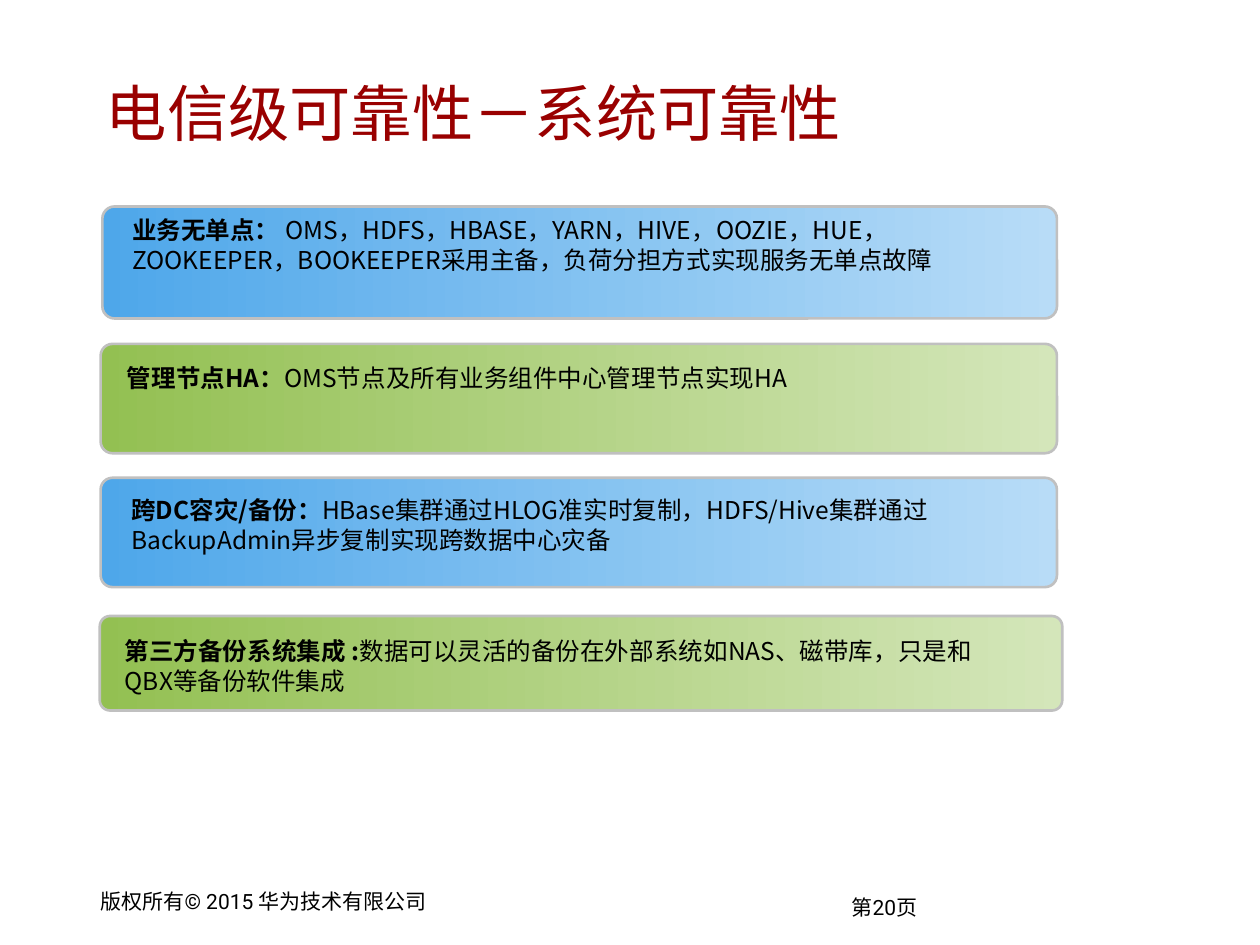
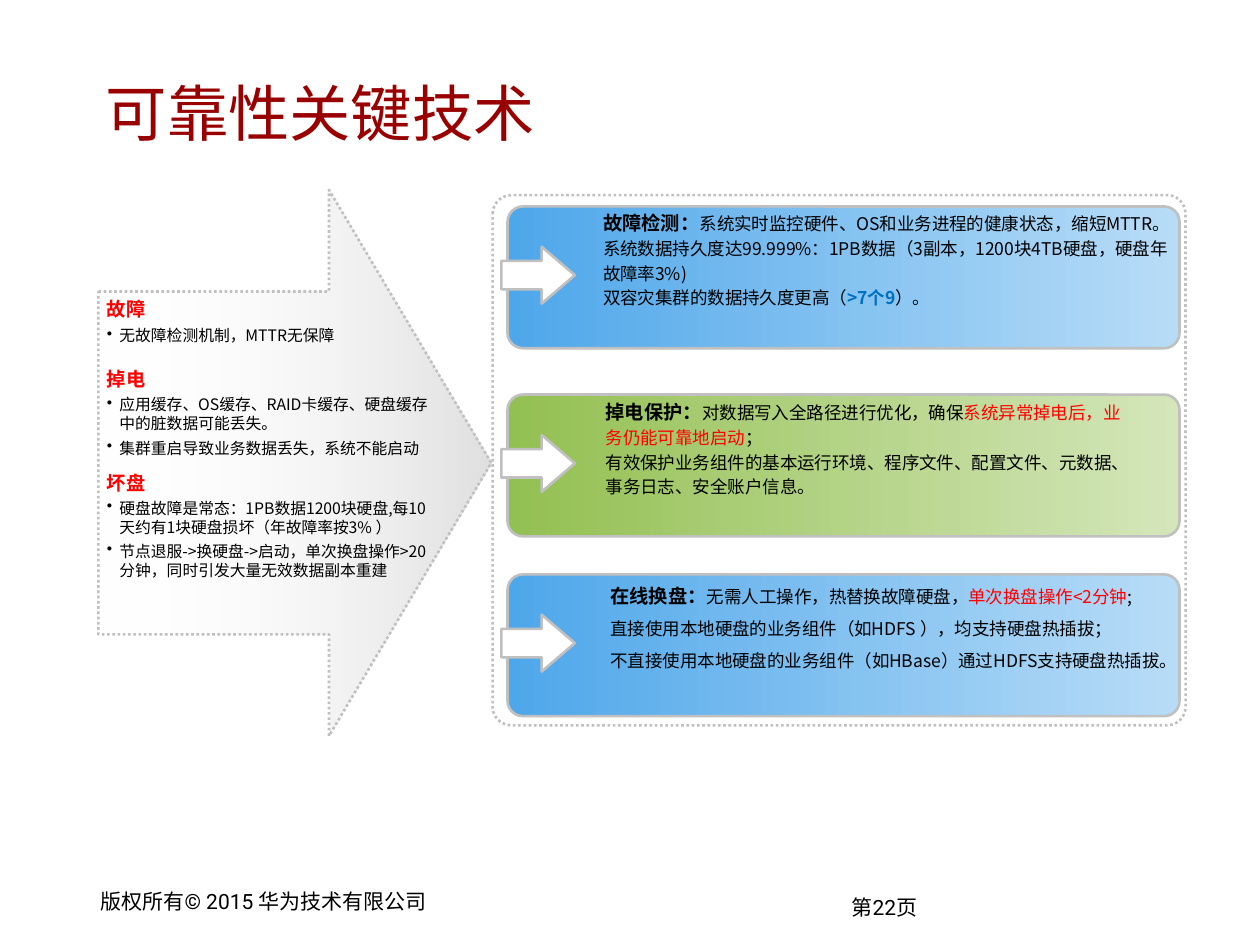
from lxml import etree
from pptx import Presentation
from pptx.dml import color as dml
from pptx.enum import dml as lines, shapes, text
from pptx.oxml import ns
from pptx.util import Pt

COLORS = {
    "title": "990000", "ink": "000000", "alert": "FF0000", "accent": "0070C0",
    "border": "C0C0C0", "white": "FFFFFF",
}
GRADIENTS = {
    "blue": ("4EA7EA", "B8DCF7"),
    "green": ("93C052", "D4E6BA"),
    "fade": (COLORS["white"], COLORS["border"]),
}
BODY_FONT, TITLE_FONT = "Noto Sans CJK SC", "Roboto"
INSETS = (7.2, 3.6)
MASTER_INSETS = (6.5, 3)

# Run and paragraph formats
TITLE = {"name": TITLE_FONT, "size": 35, "color": "title"}
FOOTER = {"name": TITLE_FONT, "size": 12}
CARD_LEAD, CARD_TEXT = {"size": 14, "bold": True}, {"size": 14}
LEAD, BODY = {"size": 11, "bold": True}, {"size": 10}
ALERT = {"size": 10, "color": "alert"}
ACCENT = {"size": 10, "color": "accent", "bold": True}
HEADING = {"size": 11, "bold": True, "color": "alert"}
ITEM = {"size": 9}
FIXED_LINES = {"line_spacing": Pt(14)}
WIDE_LINES = {"line_spacing": 1.5}
HEADING_GAP = {"space_before": Pt(12.5)}
ITEM_GAP = {"space_before": Pt(3)}


def rgb(hex_string):
    return dml.RGBColor.from_string(hex_string)


# Text
def add_run(paragraph, words, style):
    run = paragraph.add_run()
    run.text = words
    style = {"name": BODY_FONT, "bold": False, "color": "ink", **style}
    run.font.color.rgb = rgb(COLORS[style.pop("color")])
    style["size"] = Pt(style["size"])
    for name, value in style.items():
        setattr(run.font, name, value)
    properties = run._r.get_or_add_rPr()
    etree.SubElement(properties, ns.qn("a:ea"), typeface=BODY_FONT)


def set_indent(paragraph, hanging, bullet):
    properties = paragraph._p.get_or_add_pPr()
    properties.set("hangingPunct", "0")  # keep punctuation inside the box
    if hanging:
        properties.set("marL", str(Pt(hanging)))
        properties.set("indent", str(-Pt(hanging)))
    if bullet:
        etree.SubElement(properties, ns.qn("a:buChar"), char=bullet)


def fill_frame(frame, paragraphs, insets=INSETS, **frame_format):
    """Each paragraph is (runs, format); its format may hold hanging and bullet."""
    across, down = map(Pt, insets)
    settings = {
        "word_wrap": True, "margin_left": across, "margin_right": across,
        "margin_top": down, "margin_bottom": down, **frame_format,
    }
    for name, value in settings.items():
        setattr(frame, name, value)
    for index, (runs, paragraph_format) in enumerate(paragraphs):
        paragraph = frame.add_paragraph() if index else frame.paragraphs[0]
        paragraph_format = dict(paragraph_format)
        hanging = paragraph_format.pop("hanging", 0)
        bullet = paragraph_format.pop("bullet", None)
        set_indent(paragraph, hanging, bullet)
        paragraph.alignment = text.PP_ALIGN.LEFT
        for name, value in paragraph_format.items():
            setattr(paragraph, name, value)
        for words, style in runs:
            add_run(paragraph, words, style)


def add_text(slide, box, paragraphs, insets=INSETS):
    shape = slide.shapes.add_textbox(*map(Pt, box))
    fill_frame(shape.text_frame, paragraphs, insets,
               auto_size=text.MSO_AUTO_SIZE.SHAPE_TO_FIT_TEXT)


# Shapes
def add_outlined(slide, kind, box, adjustments, dotted=False):
    shape = slide.shapes.add_shape(kind, *map(Pt, box))
    shape.shadow.inherit = False
    for index, value in enumerate(adjustments):
        shape.adjustments[index] = value
    shape.line.color.rgb = rgb(COLORS["border"])
    shape.line.width = Pt(1.5)
    if dotted:
        shape.line.dash_style = lines.MSO_LINE.ROUND_DOT
    return shape


def fill_gradient(shape, gradient):
    shape.fill.gradient()
    shape.fill.gradient_angle = 0
    for stop, hex_string in zip(shape.fill.gradient_stops, GRADIENTS[gradient]):
        stop.color.rgb = rgb(hex_string)


def set_stop_opacity(shape, percentages):
    stops = shape._element.spPr.iter(ns.qn("a:gs"))
    for stop, percentage in zip(stops, percentages):
        etree.SubElement(stop[0], ns.qn("a:alpha"), val=str(percentage * 1000))


def add_card(slide, box, gradient):
    card = add_outlined(slide, shapes.MSO_SHAPE.ROUNDED_RECTANGLE, box, [0.109])
    fill_gradient(card, gradient)


def add_pointer(slide, box):
    pointer = add_outlined(slide, shapes.MSO_SHAPE.RIGHT_ARROW, box, [0.5, 0.583])
    pointer.fill.solid()
    pointer.fill.fore_color.rgb = rgb(COLORS["white"])


# Shared slide parts
def add_titled_slide(presentation, title, page):
    slide = presentation.slides.add_slide(presentation.slide_layouts[5])
    placeholder = slide.shapes.title
    placeholder.left, placeholder.top = Pt(54), Pt(30)
    placeholder.width, placeholder.height = Pt(608), Pt(68.5)
    fill_frame(placeholder.text_frame, [([(title, TITLE)], {})], MASTER_INSETS,
               vertical_anchor=text.MSO_ANCHOR.MIDDLE,
               auto_size=text.MSO_AUTO_SIZE.NONE)
    footers = [
        ((480.25, 508.25, 51.75, 21), f"第{page}页"),
        ((51, 504.75, 203, 21), "版权所有© 2015 华为技术有限公司"),
    ]
    for box, words in footers:
        add_text(slide, box, [([(words, FOOTER)], {})], MASTER_INSETS)
    return slide


def build_system_reliability(presentation):
    slide = add_titled_slide(presentation, "电信级可靠性－系统可靠性", 20)
    # Card box, gradient, text box, lead, description
    cards = [
        ((58.5, 118, 545.5, 64), "blue", (68.5, 119.5, 512.5, 41), "业务无单点： ",
         "OMS，HDFS，HBASE，YARN，HIVE，OOZIE，HUE，ZOOKEEPER，BOOKEEPER"
         "采用主备，负荷分担方式实现服务无单点故障"),
        ((57.5, 196.5, 546.5, 62.5), "green", (65.5, 203.75, 462, 24.5), "管理节点HA：",
         "OMS节点及所有业务组件中心管理节点实现HA"),
        ((57.5, 273, 546.5, 62.5), "blue", (68, 279.5, 519, 41), "跨DC容灾/备份：",
         "HBase集群通过HLOG准实时复制，HDFS/Hive集群通过 "
         "BackupAdmin异步复制实现跨数据中心灾备"),
        ((57, 352, 550, 54), "green", (64.25, 360, 520, 41), "第三方备份系统集成 :",
         "数据可以灵活的备份在外部系统如NAS、磁带库，只是和QBX等备份软件集成"),
    ]
    for card_box, gradient, text_box, lead, description in cards:
        add_card(slide, card_box, gradient)
        runs = [(lead, CARD_LEAD), (description, CARD_TEXT)]
        add_text(slide, text_box, [(runs, {})])


def add_problems(slide):
    arrow = add_outlined(slide, shapes.MSO_SHAPE.RIGHT_ARROW,
                         (56.25, 108.5, 224.5, 312), [0.628, 0.413], dotted=True)
    fill_gradient(arrow, "fade")
    set_stop_opacity(arrow, (0, 50))
    # Heading, heading format, items
    problems = [
        ("故障", {}, ["无故障检测机制，MTTR无保障"]),
        ("掉电", HEADING_GAP, ["应用缓存、OS缓存、RAID卡缓存、硬盘缓存中的脏数据可能丢失。",
                             "集群重启导致业务数据丢失，系统不能启动"]),
        ("坏盘", {**HEADING_GAP, "line_spacing": 0.6},
         ["硬盘故障是常态：1PB数据1200块硬盘,每10天约有1块硬盘损坏（年故障率按3% ）",
          "节点退服->换硬盘->启动，单次换盘操作>20分钟，同时引发大量无效数据副本重建"]),
    ]
    paragraphs = []
    for heading, heading_format, items in problems:
        paragraphs.append(([(heading, HEADING)], {"hanging": 9.5, **heading_format}))
        paragraphs += [([(item, ITEM)], {"hanging": 7.2, "bullet": "•", **ITEM_GAP})
                       for item in items]
    add_text(slide, (54, 166.5, 204.5, 170), paragraphs)


def add_solutions(slide):
    frame = add_outlined(slide, shapes.MSO_SHAPE.ROUNDED_RECTANGLE,
                         (281.5, 111.5, 396, 303), [0.035], dotted=True)
    frame.fill.background()
    hanging_wide = {"hanging": 7.2, **WIDE_LINES}
    # Card top, gradient, text box, paragraphs
    solutions = [
        (118, "blue", (337.5, 116.5, 345, 64), [
            ([("故障检测：", LEAD),
              ("系统实时监控硬件、OS和业务进程的健康状态，缩短MTTR。", BODY)], FIXED_LINES),
            ([("系统数据持久度达99.999%：1PB数据（3副本，1200块4TB硬盘，硬盘年故障率3%)",
               BODY)], FIXED_LINES),
            ([("双容灾集群的数据持久度更高（", BODY), (">7个9", ACCENT), ("）。", BODY)],
             {"hanging": 22.5, **FIXED_LINES}),
        ]),
        (225.5, "green", (339, 224.5, 317.5, 64), [
            ([("掉电保护：", LEAD), ("对数据写入全路径进行优化，确保", BODY),
              ("系统异常掉电后，业务仍能可靠地启动", ALERT), ("；", BODY)], FIXED_LINES),
            ([("有效保护业务组件的基本运行环境、程序文件、配置文件、元数据、"
               "事务日志、安全账户信息。", BODY)], FIXED_LINES),
        ]),
        (328.25, "blue", (341.75, 324, 341, 63.5), [
            ([("在线换盘：", LEAD), ("无需人工操作，热替换故障硬盘，", BODY),
              ("单次换盘操作<2分钟", ALERT), (";", BODY)], WIDE_LINES),
            ([("直接使用本地硬盘的业务组件（如HDFS ），均支持硬盘热插拔；", BODY)],
             hanging_wide),
            ([("不直接使用本地硬盘的业务组件（如HBase）通过HDFS支持硬盘热插拔。", BODY)],
             hanging_wide),
        ]),
    ]
    for top, gradient, text_box, paragraphs in solutions:
        add_card(slide, (290, top, 384, 81), gradient)
        add_pointer(slide, (286.5, top + 23, 42, 32.5))
        add_text(slide, text_box, paragraphs)


def build_key_techniques(presentation):
    slide = add_titled_slide(presentation, "可靠性关键技术", 22)
    add_problems(slide)
    add_solutions(slide)


def main():
    presentation = Presentation()
    presentation.slide_width, presentation.slide_height = Pt(720), Pt(540)
    build_system_reliability(presentation)
    build_key_techniques(presentation)
    presentation.save("out.pptx")


if __name__ == "__main__":
    main()
